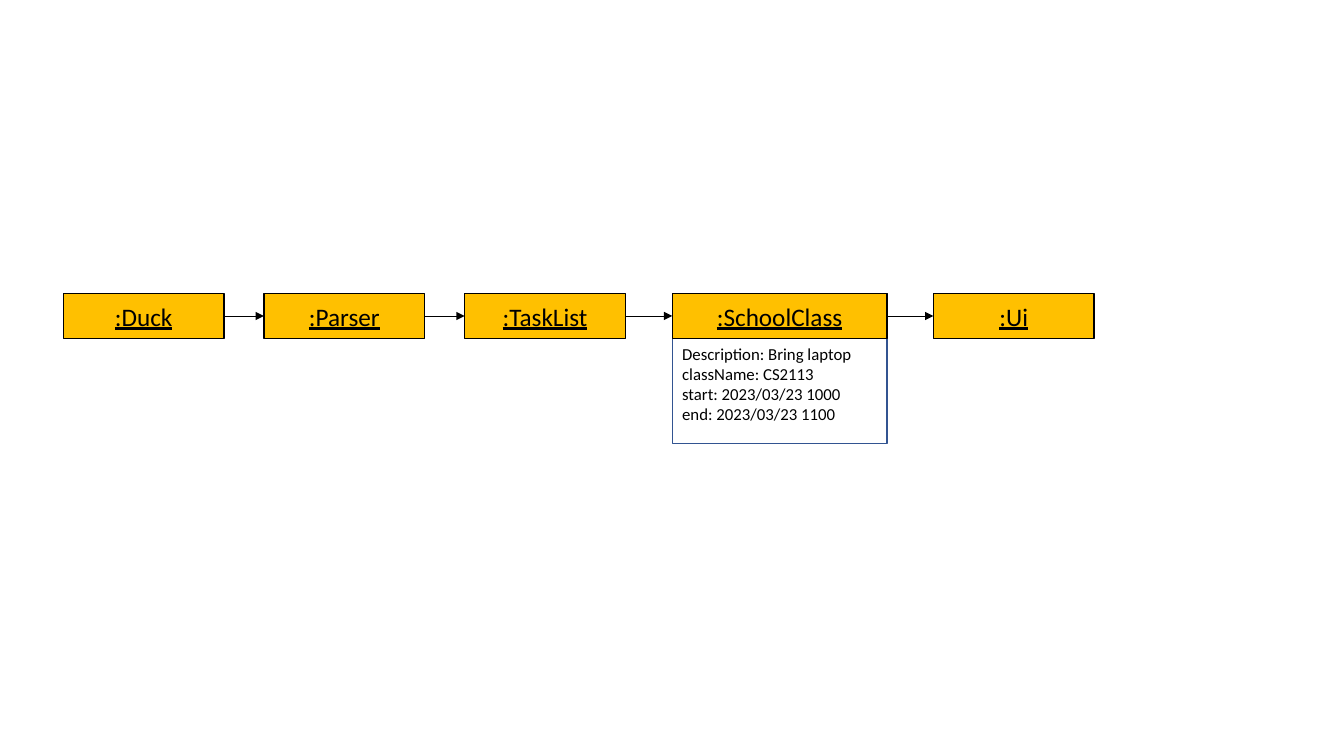
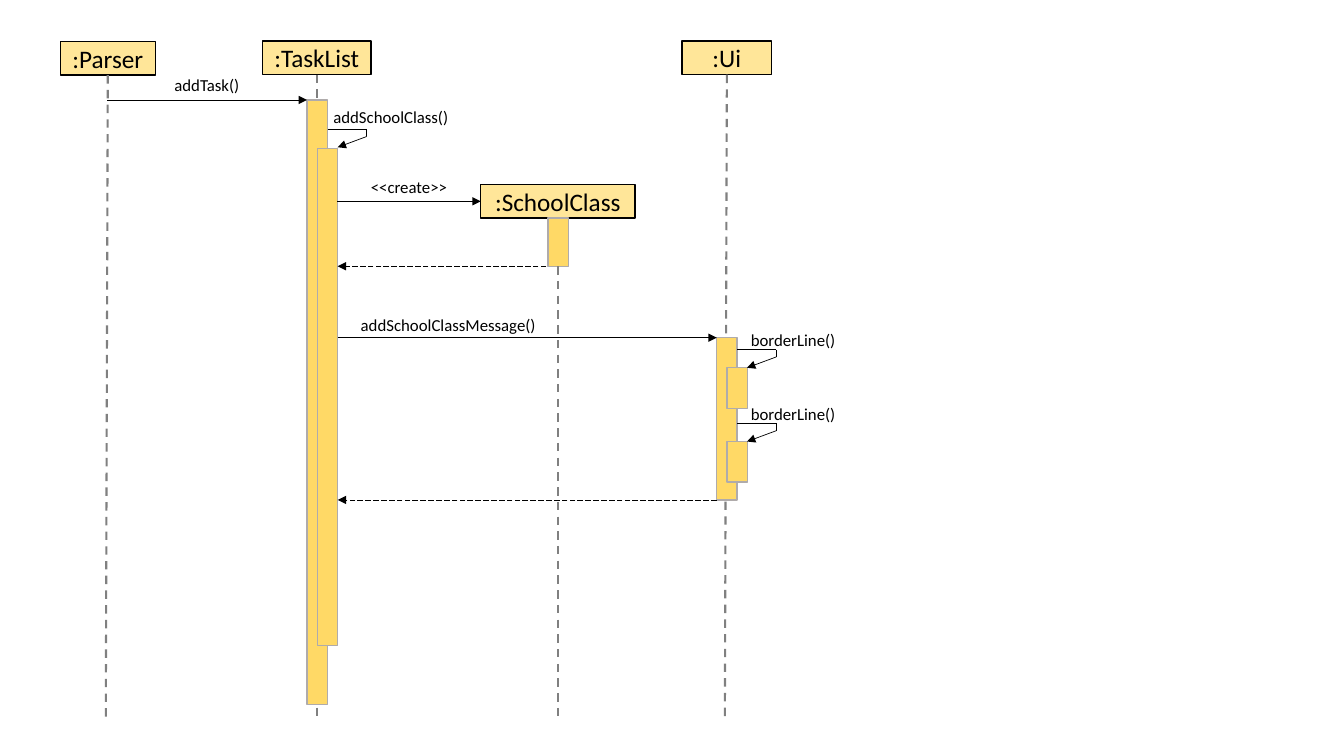
from dataclasses import dataclass
from itertools import pairwise
from typing import Any, NamedTuple

from lxml.etree import SubElement as Sub
from pptx import Presentation
from pptx.dml.color import RGBColor as Rgb
from pptx.enum.dml import MSO_LINE as Dash
from pptx.enum.shapes import MSO_CONNECTOR as Link, MSO_SHAPE as Form
from pptx.enum.text import MSO_ANCHOR as Anchor, MSO_AUTO_SIZE as Fit, PP_ALIGN as Align
from pptx.oxml.ns import qn
from pptx.util import Pt


@dataclass(frozen=True)
class Theme:
    font: str = "Calibri"
    black: str = "000000"
    amber: str = "FFC000"
    cream: str = "FFE699"
    gold: str = "FFD966"
    blue: str = "325491"
    gray: str = "808080"
    ash: str = "AFABAB"
    large: float = 18
    small: float = 12
    thin: float = 0.5
    edge: float = 1
    life: float = 1.5


class Box(NamedTuple):
    left: float
    top: float
    width: float
    height: float
    text: str = ""


class Call(NamedTuple):
    start: float
    end: float
    y: float
    dash: Any = None


class Note(NamedTuple):
    left: float
    top: float
    width: float
    text: str


class Spot(NamedTuple):
    x: float
    y: float


THEME = Theme()
TOP, TALL = 209.5, 32.4
FIRST, PITCH, WIDE = 45.2, 143.35, 114.8
CLASS_X, CLASS_W, CLASS_H = 480.2, 153.4, 107.2
PARTS = [Box(FIRST + i * PITCH, TOP, WIDE, TALL, name)
         for i, name in enumerate((":Duck", ":Parser", ":TaskList"))] + [
    Box(CLASS_X, TOP, CLASS_W, TALL, ":SchoolClass"),
    Box(666.7, TOP, WIDE, TALL, ":Ui"),
]
FIELDS = "\n".join((
    "Description: Bring laptop", "className: CS2113",
    "start: 2023/03/23 1000", "end: 2023/03/23 1100",
))

HEAD_H, BAR_W, BASE = 24, 14.6, 512.6
HEADS = {
    Box(43, 29.7, 68, HEAD_H, ":Parser"): 75.6,
    Box(187.3, 29.3, 77.8, HEAD_H, ":TaskList"): 226.2,
    Box(487.2, 29.3, 64, HEAD_H, ":Ui"): 517.8,
}
CHILD = Box(343.4, 131.8, 110.2, HEAD_H, ":SchoolClass")
CHILD_BAR = Box(391.3, 155.8, BAR_W, 34.4)
BARS = [
    Box(219.3, 71.4, BAR_W, 432),
    Box(226.6, 105.9, BAR_W, 355),
    Box(512, 241.2, BAR_W, 115.9),
    *(Box(519.2, y, BAR_W, 29) for y in (262.6, 315.4)),
]
CALLS = [
    Call(76.7, 219.3, 71.4),
    Call(390.2, 241.2, 190.2, Dash.LONG_DASH),
    Call(241.2, 512, 241.2),
    Call(512, 241.2, 357.1, Dash.LONG_DASH),
]
LOOPS = [Spot(234, 92.2), Spot(526.4, 249.7), Spot(526.4, 302.4)]
HOOK = [Spot(0, 0), Spot(28, 0), Spot(28, 5.3), Spot(7.2, 13)]
NOTES = [
    Note(117.5, 50, 61, "addTask()"),
    Note(231, 72.7, 98, "addSchoolClass()"),
    Note(257.8, 122.7, 70, "<<create>>"),
    Note(529.2, 231.8, 75.6, "borderLine()"),
    Note(529.2, 284.6, 75.6, "borderLine()"),
    Note(250.6, 221, 141, "addSchoolClassMessage()"),
]


def put(item: Any, values: dict[str, Any]) -> None:
    for name, value in values.items():
        setattr(item, name, value)


def write(frame: Any, text: str, size: float, align: Any = Align.LEFT,
          under: bool = False) -> None:
    frame.text = text
    style = {"name": THEME.font, "size": Pt(size), "underline": under or None}
    for para in frame.paragraphs:
        para.alignment = align
        for run in para.runs:
            put(run.font, style)
            run.font.color.rgb = Rgb.from_string(THEME.black)


def draw_box(slide: Any, box: Box, fill: str = "", edge: str = THEME.black,
             under: bool = False) -> Any:
    shape = slide.shapes.add_shape(Form.RECTANGLE, *map(Pt, box[:4]))
    shape.shadow.inherit = False
    if fill:
        shape.fill.solid()
        shape.fill.fore_color.rgb = Rgb.from_string(fill)
    else:
        shape.fill.background()
    shape.line.color.rgb = Rgb.from_string(edge)
    shape.line.width = Pt(THEME.edge)
    if box.text:
        shape.text_frame.vertical_anchor = Anchor.MIDDLE
        write(shape.text_frame, box.text, THEME.large, Align.CENTER, under)
    return shape


def draw_line(slide: Any, start: Spot, end: Spot, color: str = THEME.black,
              width: float = THEME.thin, dash: Any = None, arrow: bool = True) -> Any:
    line = slide.shapes.add_connector(Link.STRAIGHT, *map(Pt, (*start, *end)))
    line.line.color.rgb = Rgb.from_string(color)
    put(line.line, {"width": Pt(width), "dash_style": dash})
    if arrow:
        Sub(line.get_or_add_ln(), qn("a:tailEnd"), type="triangle")
    Sub(line.element.spPr, qn("a:effectLst"))
    return line


def draw_life(slide: Any, head: Any, box: Box, foot: float) -> None:
    start = Spot(box.left + box.width / 2, box.top + box.height)
    line = draw_line(slide, start, Spot(foot, BASE), THEME.gray, THEME.life,
                     Dash.DASH, arrow=False)
    line.begin_connect(head, 2)


def draw_note(slide: Any, box: Box, wrap: bool) -> None:
    frame = slide.shapes.add_textbox(*map(Pt, box[:4])).text_frame
    put(frame, {"word_wrap": wrap, "auto_size": Fit.SHAPE_TO_FIT_TEXT})
    write(frame, box.text, THEME.small)


def draw_chain(slide: Any) -> None:
    draw_box(slide, Box(CLASS_X, TOP, CLASS_W, CLASS_H), edge=THEME.blue)
    shapes = [draw_box(slide, part, THEME.amber, under=True) for part in PARTS]
    draw_note(slide, Box(CLASS_X, TOP + TALL, CLASS_W, 65.4, FIELDS), True)
    mid = TOP + TALL / 2
    for (one, left), (two, right) in pairwise(zip(PARTS, shapes)):
        line = draw_line(slide, Spot(one.left + one.width, mid), Spot(two.left, mid))
        line.begin_connect(left, 3)
        line.end_connect(right, 1)


def draw_flow(slide: Any) -> None:
    for box, foot in HEADS.items():
        draw_life(slide, draw_box(slide, box, THEME.cream), box, foot)
    child = draw_box(slide, CHILD, THEME.cream)
    stem = draw_box(slide, CHILD_BAR, THEME.gold, THEME.ash)
    draw_life(slide, stem, CHILD_BAR, CHILD_BAR.left + BAR_W / 2)
    for bar in BARS:
        draw_box(slide, bar, THEME.gold, THEME.ash)
    for call in CALLS:
        draw_line(slide, Spot(call.start, call.y), Spot(call.end, call.y), dash=call.dash)
    mid = CHILD.top + HEAD_H / 2
    draw_line(slide, Spot(241, mid), Spot(CHILD.left, mid)).end_connect(child, 1)
    for loop in LOOPS:
        spots = [Spot(loop.x + step.x, loop.y + step.y) for step in HOOK]
        for start, end in pairwise(spots):
            draw_line(slide, start, end, arrow=end == spots[-1])
    for note in NOTES:
        draw_note(slide, Box(note.left, note.top, note.width, 21.8, note.text), False)


def main() -> None:
    deck = Presentation()
    put(deck, {"slide_width": Pt(960), "slide_height": Pt(540)})
    for draw in (draw_chain, draw_flow):
        draw(deck.slides.add_slide(deck.slide_layouts[6]))
    deck.save("out.pptx")


if __name__ == "__main__":
    main()
